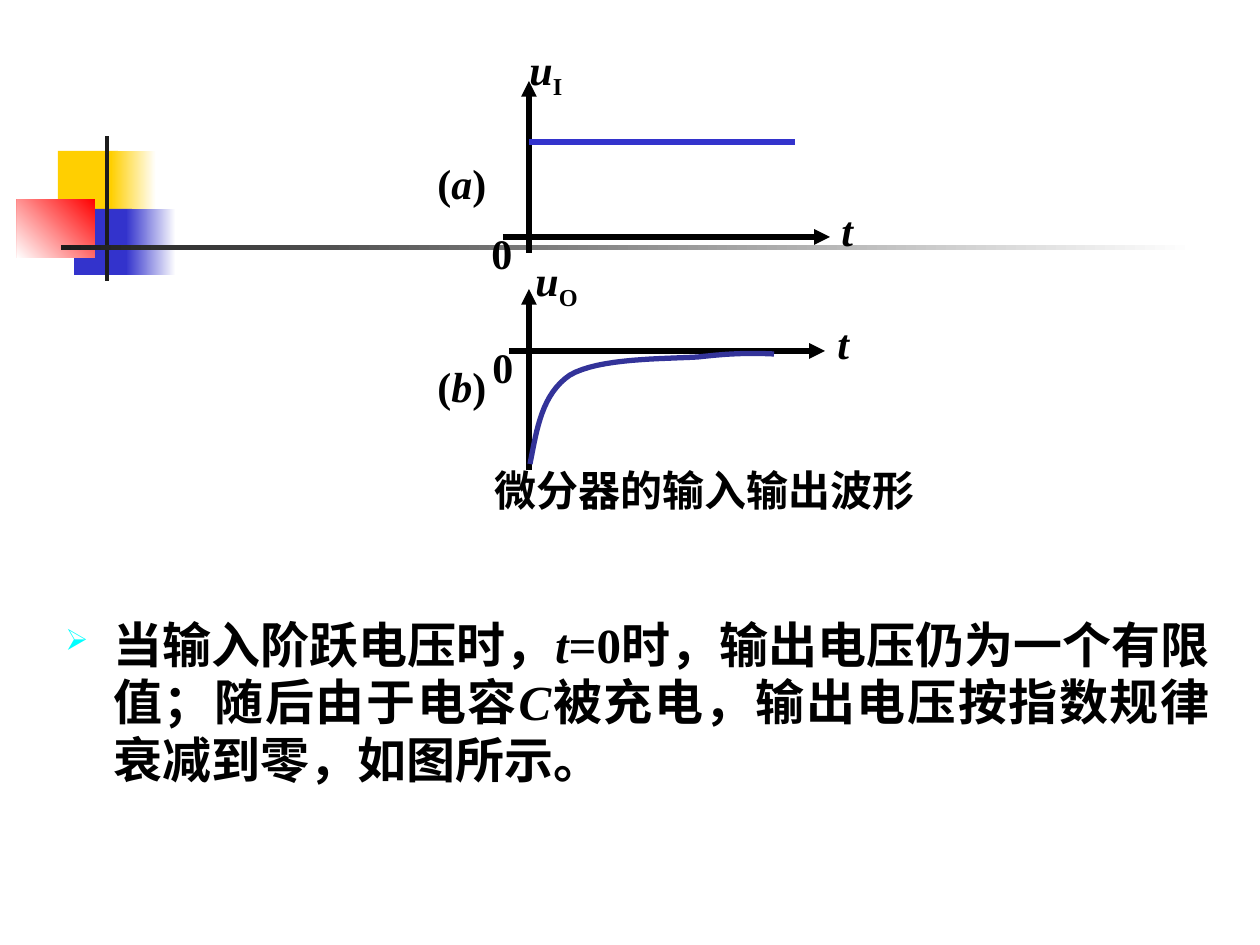
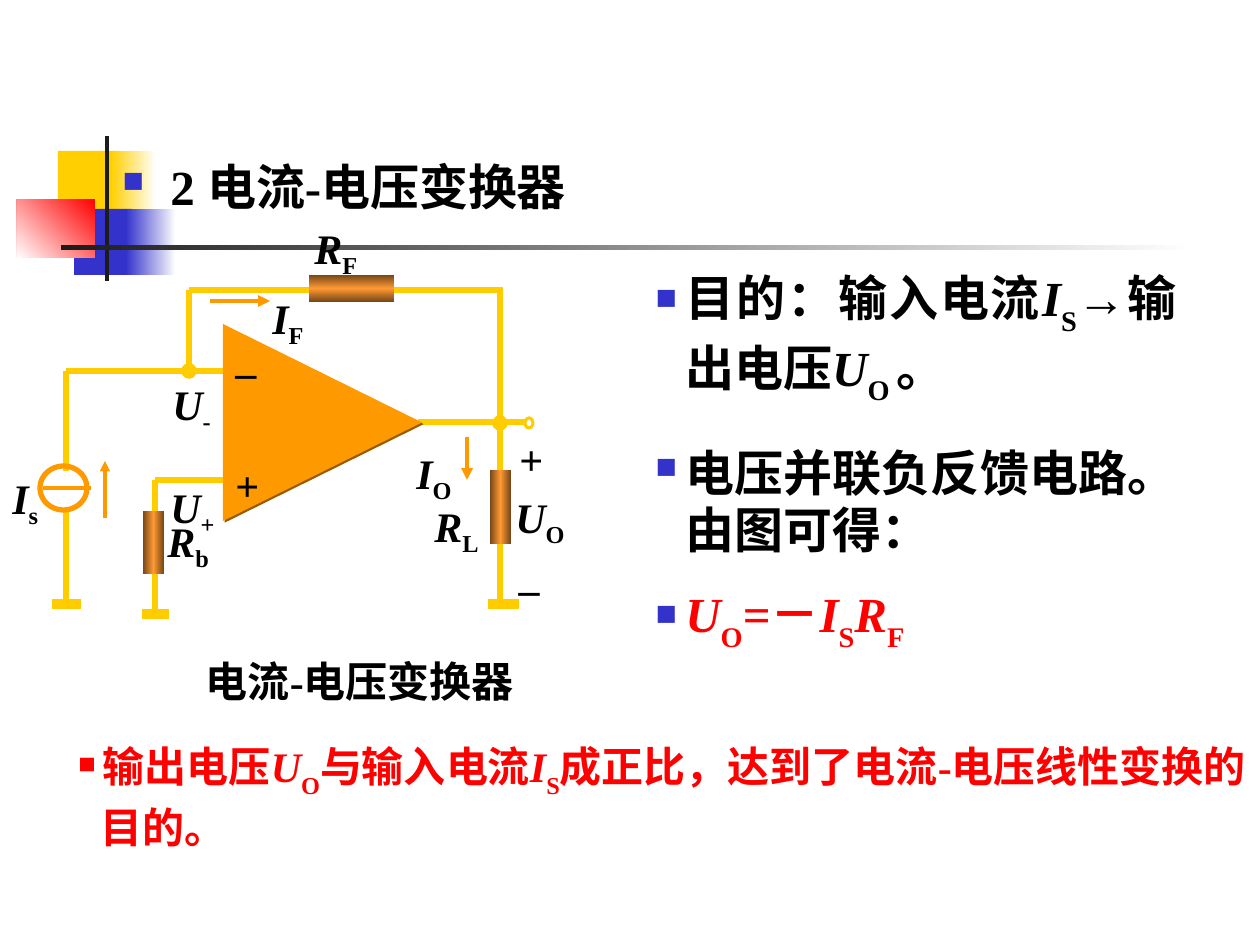
import pptx
import pptx.util
import pptx.dml.color
import pptx.enum.shapes
import pptx.enum.text
import pptx.oxml
import pptx.oxml.ns

PX = 914400 / 126
RGB = pptx.dml.color.RGBColor
BLACK = RGB(0x00, 0x00, 0x00)
WHITE = RGB(0xFF, 0xFF, 0xFF)
RED = RGB(0xFF, 0x00, 0x00)
YELLOW = RGB(0xFF, 0xCF, 0x01)
BLUE = RGB(0x33, 0x33, 0xCC)
NAVY = RGB(0x33, 0x33, 0x99)
CHARCOAL = RGB(0x1C, 0x1C, 0x1C)
CYAN = RGB(0x00, 0xFF, 0xFF)
WIRE = RGB(0xFF, 0xCC, 0x00)
ORANGE = RGB(0xFF, 0x99, 0x00)
COPPER = RGB(0xFF, 0x99, 0x33)
BROWN = RGB(0x75, 0x46, 0x17)
SHADE = RGB(0x98, 0x5B, 0x00)
LATIN = "Times New Roman"
CJK = "Noto Sans CJK SC"
FONTS = {"a": "Arial", "n": CJK}
SHAPE = pptx.enum.shapes.MSO_SHAPE
ALIGN = pptx.enum.text.PP_ALIGN
NS = pptx.oxml.ns.nsdecls("a")
qn = pptx.oxml.ns.qn
parse = pptx.oxml.parse_xml


def add_box(s, kind, area, fill=None, line=None, width=3, angle=None):
    sp = s.shapes.add_shape(kind, *[int(v * PX) for v in area])
    sp.shadow.inherit = False
    sp.fill.background()
    if angle is not None:
        stops = "".join(
            f'<a:gs pos="{100000 * i // (len(fill) - 1)}"><a:srgbClr val="{c}"/></a:gs>'
            for i, c in enumerate(fill))
        spPr = sp.element.spPr
        spPr.replace(spPr.find(qn("a:noFill")), parse(
            f'<a:gradFill {NS} rotWithShape="1"><a:gsLst>{stops}</a:gsLst>'
            f'<a:lin ang="{angle * 60000}" scaled="0"/></a:gradFill>'))
    elif fill is not None:
        sp.fill.solid()
        sp.fill.fore_color.rgb = fill
    if line is None:
        sp.line.fill.background()
    else:
        sp.line.color.rgb = line
        sp.line.width = pptx.util.Pt(width)
    return sp


def add_text(s, area, paragraphs, size=24, align=ALIGN.JUSTIFY, bullet=None, hang=0,
             sub=-25, before=0):
    sp = s.shapes.add_textbox(*[int(v * PX) for v in area])
    tf = sp.text_frame
    tf.word_wrap = True
    for i, (color, spacing, runs) in enumerate(paragraphs):
        p = tf.paragraphs[0] if i == 0 else tf.add_paragraph()
        p.alignment = align
        if spacing:
            p.line_spacing = pptx.util.Pt(spacing)
        if i:
            p.space_before = pptx.util.Pt(before)
        if bullet:
            char, bullet_color, percent = bullet
            pPr = p._p.get_or_add_pPr()
            pPr.set("marL", str(int(hang * PX)))
            pPr.set("indent", str(-int(hang * PX)))
            pPr.append(parse(f'<a:buClr {NS}><a:srgbClr val="{bullet_color}"/></a:buClr>'))
            pPr.append(parse(f'<a:buSzPct {NS} val="{percent * 1000}"/>'))
            pPr.append(parse(f'<a:buChar {NS} char="{char}"/>'))
        for text, style in runs:
            r = p.add_run()
            r.text = text
            r.font.size = pptx.util.Pt(size)
            r.font.bold = True
            r.font.italic = style == "i"
            r.font.color.rgb = color
            r.font.name = FONTS.get(style, LATIN)
            rPr = r.font._element
            if any(ord(c) > 0x2E80 for c in text):
                rPr.append(parse(f'<a:ea {NS} typeface="{CJK}"/>'))
            if style == "s":
                rPr.set("baseline", str(sub * 1000))


prs = pptx.Presentation()
prs.slide_width = int(1260 * PX)
prs.slide_height = int(945 * PX)
waveforms, converter = [prs.slides.add_slide(prs.slide_layouts[6]) for _ in range(2)]

ornament = [
    ((58, 151, 60, 66), YELLOW, None),
    ((111, 151, 45, 66), (WHITE, YELLOW), 180),
    ((74, 209, 58, 66), BLUE, None),
    ((126, 209, 50, 66), (WHITE, BLUE), 180),
    ((17, 199, 78, 59), (RED, WHITE), 135),
    ((105, 136, 4, 145), CHARCOAL, None),
    ((61, 245, 1134, 5), (WHITE, CHARCOAL), 180),
]
for s in (waveforms, converter):
    for area, fill, angle in ornament:
        add_box(s, SHAPE.RECTANGLE, area, fill, angle=angle)

lines = [
    (waveforms, BLACK, 3, "headEnd", "triangle", [(529, 81, 529, 253), (529, 289, 529, 470)]),
    (waveforms, BLACK, 3, "tailEnd", "triangle", [(503, 237, 830, 237), (509, 351, 825, 351)]),
    (waveforms, BLUE, 3, None, None, [(529, 142, 795, 142)]),
    (converter, WIRE, 3, None, None, [
        (227, 371, 66, 371), (66, 371, 66, 471), (66, 512, 66, 605), (227, 480, 155, 480),
        (155, 480, 155, 612), (189, 290, 503, 290), (500, 287, 500, 422), (418, 422, 529, 422)]),
    (converter, WIRE, 6, None, None, [
        (142, 614, 169, 614), (52, 604, 81, 604), (488, 604, 519, 604)]),
    (converter, WIRE, 3, "headEnd", "oval", [(189, 371, 189, 290), (500, 423, 500, 605)]),
    (converter, ORANGE, 1.75, None, None, [(43, 488, 91, 488)]),
    (converter, ORANGE, 1.75, "tailEnd", "triangle", [(105, 518, 105, 461)]),
    (converter, ORANGE, 2.25, "tailEnd", "triangle", [(210, 301, 270, 301), (467, 437, 467, 480)]),
]
for s, color, width, end, arrow, ends in lines:
    for points in ends:
        cx = s.shapes.add_connector(pptx.enum.shapes.MSO_CONNECTOR.STRAIGHT,
                                    *[int(v * PX) for v in points])
        cx.line.color.rgb = color
        cx.line.width = pptx.util.Pt(width)
        spPr = cx.element.spPr
        if end:
            spPr.find(qn("a:ln")).append(parse(f'<a:{end} {NS} type="{arrow}"/>'))
        spPr.append(parse(f"<a:effectLst {NS}/>"))

decay = [
    ((530, 464), (537, 428), (542, 394), (570, 375)),
    ((570, 375), (599, 358), (664, 359), (698, 357)),
    ((698, 357), (732, 353), (753, 353), (774, 354)),
]
curve = []
for a, b, c, d in decay:
    for step in range(1, 17):
        t = step / 16
        u = 1 - t
        curve.append([int(PX * (u**3 * a[k] + 3 * u * u * t * b[k] + 3 * u * t * t * c[k]
                                + t**3 * d[k])) for k in range(2)])
fb = waveforms.shapes.build_freeform(int(530 * PX), int(464 * PX))
fb.add_line_segments(curve, close=False)
sp = fb.convert_to_shape()
sp.shadow.inherit = False
sp.fill.background()
sp.line.color.rgb = NAVY
sp.line.width = pptx.util.Pt(3)

add_box(converter, SHAPE.OVAL, (525, 418, 8, 10), WHITE, WIRE, 1.75)
add_box(converter, SHAPE.OVAL, (40, 466, 47, 44), None, ORANGE)
sp = add_box(converter, SHAPE.ISOSCELES_TRIANGLE, (224, 323, 197, 199), ORANGE)
sp.rotation = 90
sp.element.spPr.find(qn("a:effectLst")).append(parse(
    f'<a:outerShdw {NS} dist="17780" dir="2700000" rotWithShape="0">'
    f'<a:srgbClr val="{SHADE}"/></a:outerShdw>'))
for area, angle in [((309, 275, 85, 27), 90), ((490, 470, 21, 74), 180), ((143, 511, 21, 63), 180)]:
    add_box(converter, SHAPE.RECTANGLE, area, (BROWN, COPPER, BROWN), angle=angle)

labels = [
    (waveforms, 517, 37, [("u", "i"), ("I", "s")]),
    (waveforms, 523, 248, [("u", "i"), ("O", "s")]),
    (waveforms, 829, 198, [("t", "i")]),
    (waveforms, 825, 311, [("t", "i")]),
    (waveforms, 479, 221, [("0", "")]),
    (waveforms, 480, 335, [("0", "")]),
    (waveforms, 425, 151, [("(", ""), ("a", "i"), (")", "")]),
    (waveforms, 425, 354, [("(", ""), ("b", "i"), (")", "")]),
    (converter, 422, 494, [("R", "i"), ("L", "s")]),
    (converter, 503, 485, [("U", "i"), ("O", "s")]),
    (converter, 509, 542, [("_", "i")]),
    (converter, 507, 427, [("+", "")]),
    (converter, 260, 286, [("I", "i"), ("F", "s")]),
    (converter, 155, 509, [("R", "i"), ("b", "s")]),
    (converter, 302, 216, [("R", "i"), ("F", "s")]),
    (converter, 158, 475, [("U", "i"), ("+", "s")]),
    (converter, 160, 372, [("U", "i"), ("-", "s")]),
    (converter, 404, 441, [("I", "i"), ("O", "s")]),
    (converter, 223, 453, [("+", "")]),
    (converter, 223, 325, [("_", "")]),
    (converter, 0, 466, [("I", "i"), ("s", "s")]),
]
for s, x, y, runs in labels:
    add_text(s, (x, y, 110, 90), [(BLACK, None, runs)])

captions = [(waveforms, 422, 460, "微分器的输入输出波形"), (converter, 77, 651, "电流-电压变换器")]
for s, x, y, text in captions:
    add_text(s, (x, y, 566, 90), [(BLACK, 28, [(text, "")])], align=ALIGN.CENTER)

add_text(waveforms, (53, 609, 1169, 190), [(BLACK, 33, [
    ("当输入阶跃电压时，", "n"), ("t", "i"), ("=0", ""),
    ("时，输出电压仍为一个有限值；随后由于电容", "n"), ("C", "i"),
    ("被充电，输出电压按指数规律衰减到零，如图所示。", "n")])],
    size=28, bullet=("➢", CYAN, 60), hang=48)

square = ("■", BLUE, 60)
add_text(converter, (110, 151, 1092, 74), [(BLACK, 33, [("2 电流-电压变换器", "")])],
         size=28, bullet=square, hang=48)
add_text(converter, (643, 262, 546, 399), [
    (BLACK, 39.5, [("目的：输入电流", ""), ("I", "i"), ("S", "s"), ("→", "a"),
                   ("输出电压", ""), ("U", "i"), ("O ", "s"), ("。", "")]),
    (BLACK, 33, [("电压并联负反馈电路。由图可得：", "")]),
    (RED, 33, [("U", "i"), ("O", "s"), ("=－", ""), ("I", "i"), ("S", "s"),
               ("R", "i"), ("F", "s")]),
], size=28, bullet=square, hang=30, sub=-30, before=21)
add_text(converter, (59, 741, 1201, 122), [(RED, 30, [
    ("输出电压", "n"), ("U", "i"), ("O", "s"), ("与输入电流", "n"), ("I", "i"), ("S", "s"),
    ("成正比，达到了电流", "n"), ("-", ""), ("电压线性变换的目的。", "n")])],
    align=ALIGN.LEFT, bullet=("▪", RED, 100), hang=29, sub=-30)

prs.save("out.pptx")
